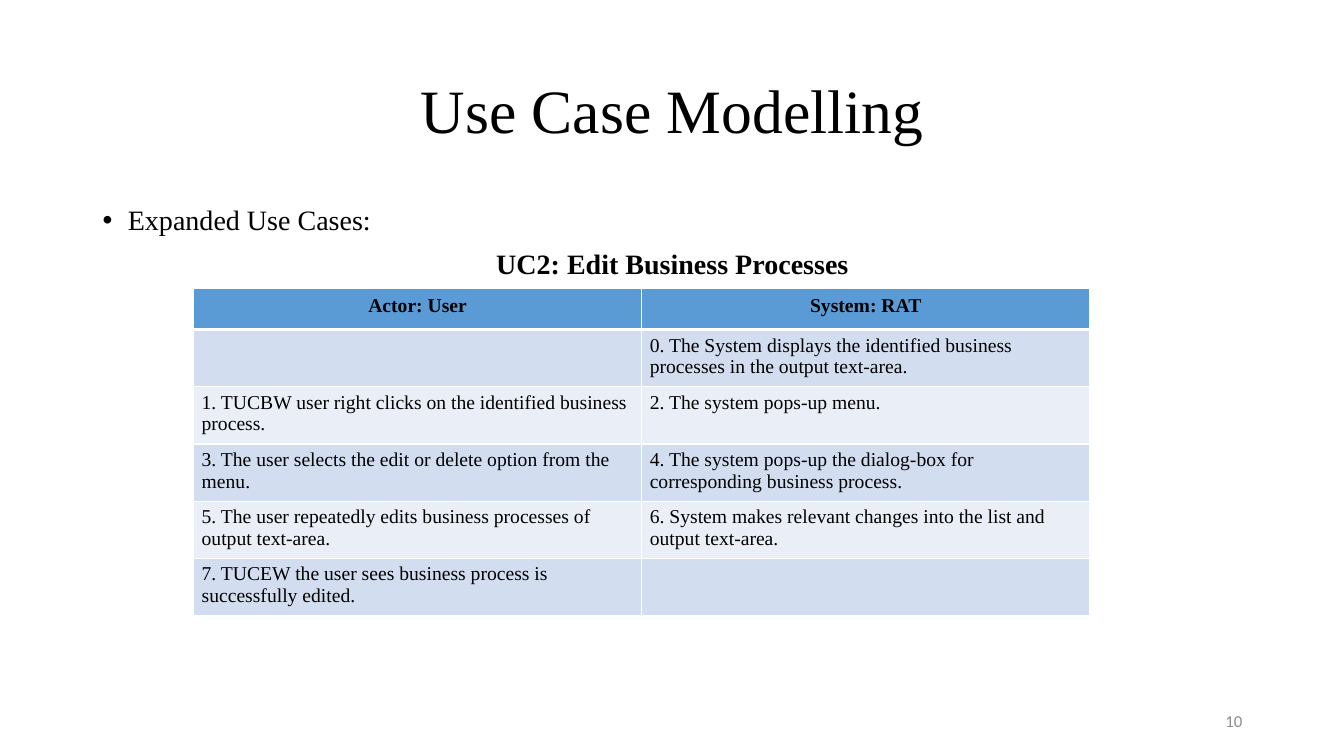
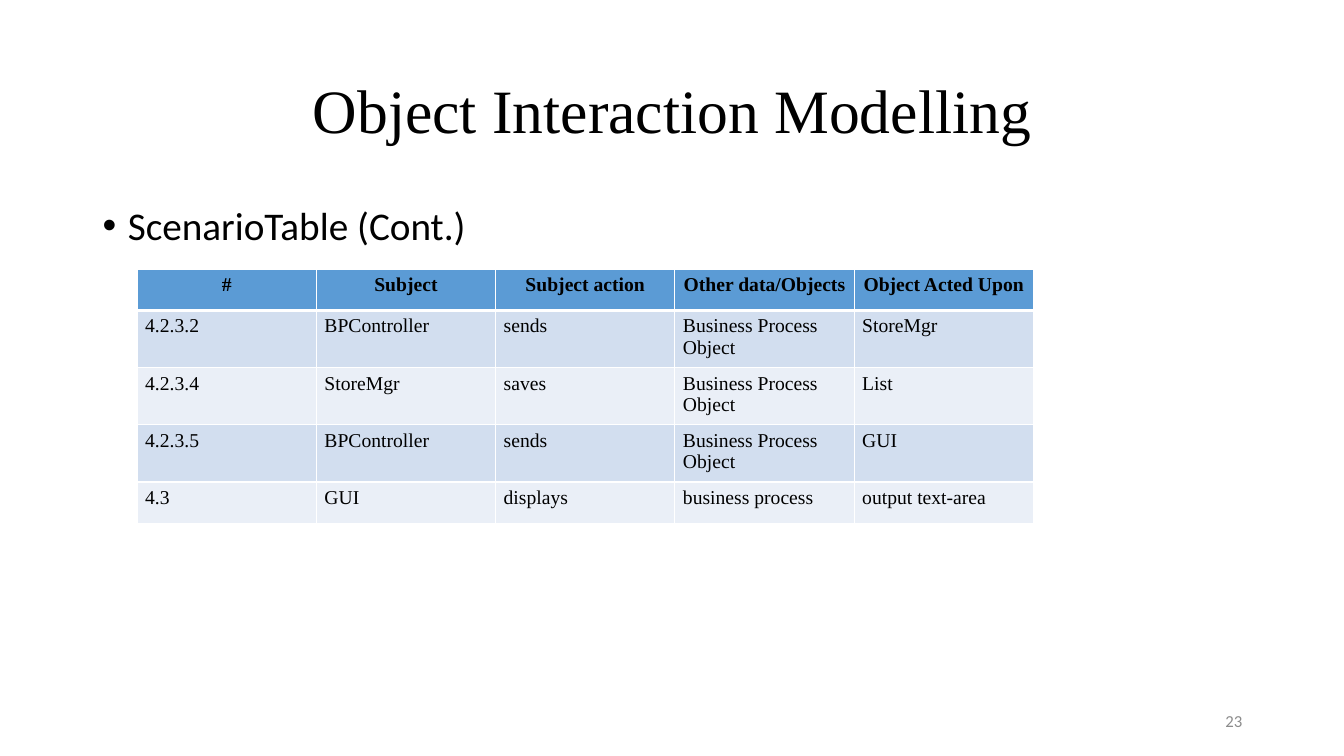
from dataclasses import dataclass

from lxml import etree
from pptx import Presentation
from pptx.dml.color import RGBColor
from pptx.enum.text import MSO_ANCHOR, PP_ALIGN
from pptx.oxml.ns import qn
from pptx.util import Inches, Pt

LEFT, CENTER, RIGHT = PP_ALIGN.LEFT, PP_ALIGN.CENTER, PP_ALIGN.RIGHT
MIDDLE = MSO_ANCHOR.MIDDLE

BLACK = RGBColor(0x00, 0x00, 0x00)
GRAY = RGBColor(0x8C, 0x8C, 0x8C)
WHITE = RGBColor(0xFF, 0xFF, 0xFF)
HEAD = RGBColor(0x5B, 0x9B, 0xD5)
BANDS = (RGBColor(0xD2, 0xDE, 0xEF), RGBColor(0xEA, 0xEF, 0xF7))

SERIF, SANS = "Times New Roman", "Calibri"
MARGIN, WIDTH = Inches(0.92), Inches(11.5)
GRID, ROW = Inches(8.89), Inches(0.41)


@dataclass
class Line:
    text: str
    size: int
    face: str = SERIF
    bold: bool = False
    bullet: bool = False


@dataclass
class Page:
    title: str
    number: int
    lines: list[Line]
    left: float
    top: float
    rows: list[tuple[str, ...]]
    pad: tuple[float, float] = (0.08, 0.05)


PAGES = [
    Page(
        "Use Case Modelling", 10,
        [Line("Expanded Use Cases:", 20, bullet=True),
         Line("UC2: Edit Business Processes", 20, bold=True)],
        1.92, 2.86,
        [("Actor: User", "System: RAT"),
         ("", "0. The System displays the identified business processes "
              "in the output text-area."),
         ("1. TUCBW user right clicks on the identified business process.",
          "2. The system pops-up menu."),
         ("3. The user selects the edit or delete option from the menu.",
          "4. The system pops-up the dialog-box for corresponding "
          "business process."),
         ("5. The user repeatedly edits business processes of output text-area.",
          "6. System makes relevant changes into the list and "
          "output text-area."),
         ("7. TUCEW the user sees business process is successfully edited.", "")],
        pad=(0.07, 0.07),
    ),
    Page(
        "Object Interaction Modelling", 23,
        [Line("ScenarioTable (Cont.)", 28, SANS, bullet=True)],
        1.36, 2.67,
        [("#", "Subject", "Subject action", "Other data/Objects",
          "Object Acted Upon"),
         ("4.2.3.2", "BPController", "sends", "Business Process Object", "StoreMgr"),
         ("4.2.3.4", "StoreMgr", "saves", "Business Process Object", "List"),
         ("4.2.3.5", "BPController", "sends", "Business Process Object", "GUI"),
         ("4.3", "GUI", "displays", "business process", "output text-area")],
    ),
]


def style(para, size: int, face: str = SERIF, color: RGBColor = BLACK,
          bold: bool = False, align=LEFT) -> None:
    para.alignment = align
    font = para.font
    font.size, font.name, font.bold = Pt(size), face, bold
    font.color.rgb = color


def add_bullet(para) -> None:
    props = para._p.get_or_add_pPr()
    props.set("marL", str(Inches(0.25)))
    props.set("indent", str(Inches(-0.25)))
    etree.SubElement(props, qn("a:buFont"), typeface="Arial")
    etree.SubElement(props, qn("a:buChar"), char="•")


def add_edges(cell, base: int) -> None:
    """Draw white cell borders; base is the bottom width in points."""
    props = cell._tc.get_or_add_tcPr()
    edges = (("a:lnL", 1), ("a:lnR", 1), ("a:lnT", 1), ("a:lnB", base))
    for place, (tag, width) in enumerate(edges):
        edge = etree.Element(qn(tag), w=str(Pt(width)))
        fill = etree.SubElement(edge, qn("a:solidFill"))
        etree.SubElement(fill, qn("a:srgbClr"), val=str(WHITE))
        props.insert(place, edge)


def add_title(slide, text: str) -> None:
    title = slide.shapes.title
    title.left, title.top = MARGIN, Inches(0.4)
    title.width, title.height = WIDTH, Inches(1.45)
    frame = title.text_frame
    frame.text = text
    frame.vertical_anchor = MIDDLE
    para = frame.paragraphs[0]
    para.line_spacing = 0.9
    style(para, 44, align=CENTER)


def add_body(slide, lines: list[Line]) -> None:
    box = slide.shapes.add_textbox(MARGIN, Inches(2), WIDTH, Inches(4.76))
    frame = box.text_frame
    frame.word_wrap = True
    for place, line in enumerate(lines):
        para = frame.add_paragraph() if place else frame.paragraphs[0]
        para.text = line.text
        para.line_spacing = 0.9
        if place:
            para.space_before = Pt(10)
        if line.bullet:
            add_bullet(para)
        style(para, line.size, line.face, bold=line.bold,
              align=LEFT if line.bullet else CENTER)


def add_grid(slide, page: Page) -> None:
    count, cols = len(page.rows), len(page.rows[0])
    table = slide.shapes.add_table(
        count, cols, Inches(page.left), Inches(page.top), GRID, ROW * count
    ).table
    for r, texts in enumerate(page.rows):
        head = r == 0
        side, edge = page.pad if head else (0.08, 0.05)
        for c, text in enumerate(texts):
            cell = table.cell(r, c)
            cell.text = text
            cell.margin_left = cell.margin_right = Inches(side)
            cell.margin_top = cell.margin_bottom = Inches(edge)
            cell.fill.solid()
            cell.fill.fore_color.rgb = HEAD if head else BANDS[(r - 1) % 2]
            add_edges(cell, 3 if head else 1)
            style(cell.text_frame.paragraphs[0], 14, bold=head,
                  align=CENTER if head else LEFT)


def add_number(slide, number: int) -> None:
    box = slide.shapes.add_textbox(
        Inches(9.42), Inches(6.95), Inches(3), Inches(0.4))
    frame = box.text_frame
    frame.word_wrap = True
    frame.vertical_anchor = MIDDLE
    frame.text = str(number)
    style(frame.paragraphs[0], 12, SANS, GRAY, align=RIGHT)


def main() -> None:
    deck = Presentation()
    deck.slide_width, deck.slide_height = Inches(13.33), Inches(7.5)
    for page in PAGES:
        slide = deck.slides.add_slide(deck.slide_layouts[5])
        add_title(slide, page.title)
        add_body(slide, page.lines)
        add_grid(slide, page)
        add_number(slide, page.number)
    deck.save("out.pptx")


if __name__ == "__main__":
    main()
